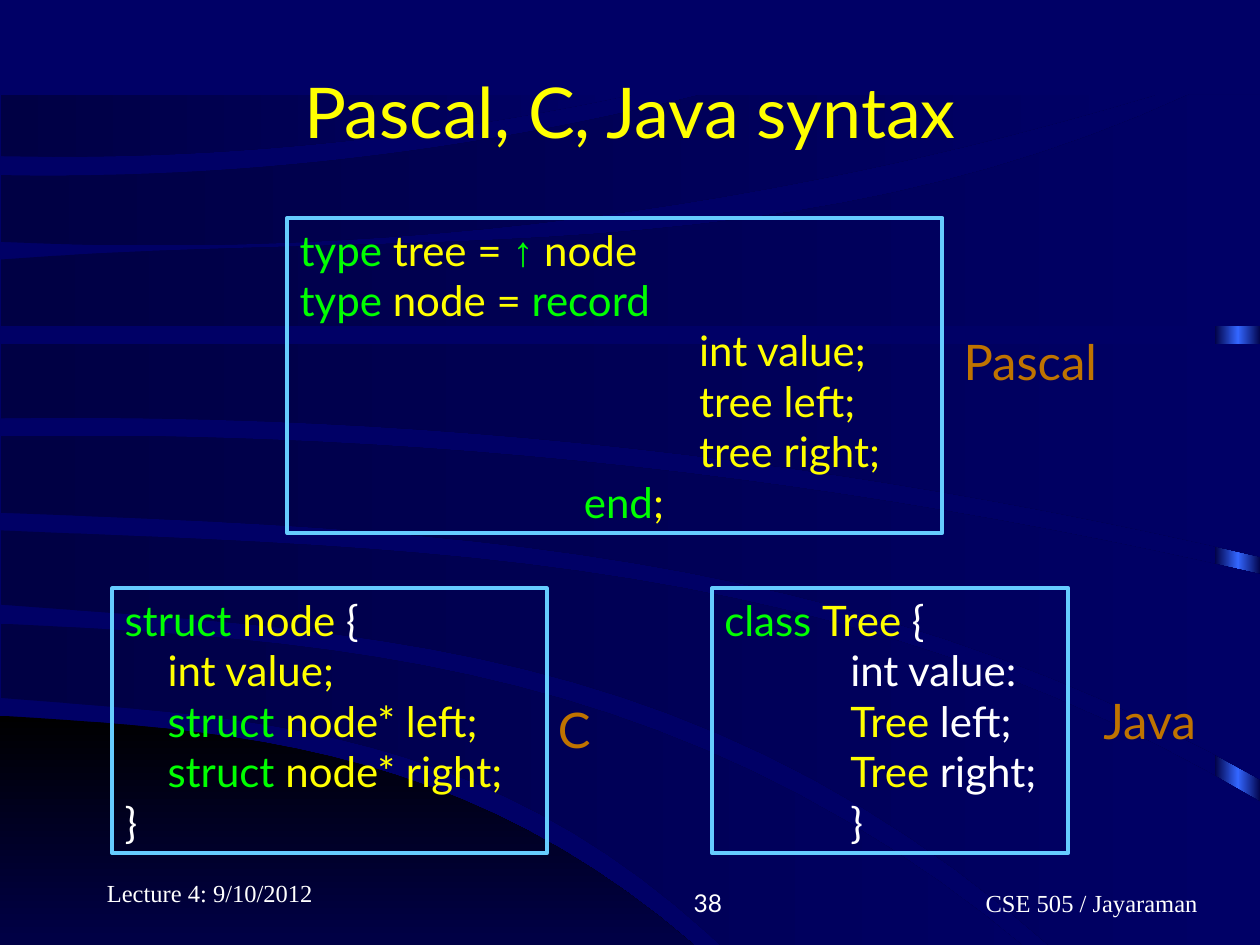
from copy import deepcopy
from dataclasses import dataclass
from math import prod
from typing import NamedTuple, Sequence

from lxml.etree import SubElement
from pptx import Presentation
from pptx.dml.color import RGBColor as RGB
from pptx.enum.shapes import MSO_SHAPE as SHAPE
from pptx.enum.text import MSO_ANCHOR as ANCHOR, PP_ALIGN as ALIGN
from pptx.oxml.ns import qn
from pptx.util import Inches, Pt


@dataclass(frozen=True)
class Theme:
    """Colours, fonts and type sizes of the slide."""
    back: str = "000066"
    deep: str = "000044"
    black: str = "000000"
    glow: str = "3366FF"
    frame: str = "66CCFF"
    keyword: str = "00FF00"
    name: str = "FFFF00"
    plain: str = "FFFFFF"
    label: str = "BF7300"
    sans: str = "Lato"
    serif: str = "Times New Roman"
    symbol: str = "Arial"
    title_size: int = 40
    label_size: int = 28
    code_size: int = 24
    footer_size: int = 14


T = Theme()
LEFT, RIGHT = 0.01, 10.01
Point = tuple[float, float]


class Box(NamedTuple):
    """Left, top, width and height in inches."""
    x: float
    y: float
    w: float
    h: float


class Seg(NamedTuple):
    """A stretch of text in one colour."""
    text: str
    color: str
    font: str | None = None


class Band(NamedTuple):
    """A background band between two smooth edges, with optional corners at its right end."""
    top: Sequence[Point]
    bottom: Sequence[Point]
    corners: Sequence[Point] = ()
    colors: Sequence[str] = (T.deep, T.back)
    angle: float = 0


class Text(NamedTuple):
    """A single line of text with its place and style."""
    text: str
    box: Box
    size: int
    color: str
    font: str = T.sans
    align: ALIGN = ALIGN.LEFT
    anchor: ANCHOR = ANCHOR.TOP
    wrap: bool = True
    indent: float = 0


class Code(NamedTuple):
    """A framed code listing."""
    box: Box
    lines: Sequence[Sequence[Seg]]


def kw(text: str) -> Seg:
    """Return a keyword segment."""
    return Seg(text, T.keyword)


def nm(text: str) -> Seg:
    """Return a name segment."""
    return Seg(text, T.name)


def pl(text: str) -> Seg:
    """Return a plain segment."""
    return Seg(text, T.plain)


BANDS = [
    Band([(0, 5.68), (2.19, 5.91), (4.26, 6.63), (6.29, 8.27)], [(0, 8.27), (6.29, 8.27)],
         colors=(T.black, T.back), angle=270),
    Band([(LEFT, 4.95), (2.95, 5.21), (6.07, 6.17), (8.94, 8.25)],
         [(LEFT, 5.54), (2.22, 5.77), (4.55, 6.61), (6.43, 8.25)]),
    Band([(LEFT, 4.21), (3.44, 4.4), (7.39, 5.17), (RIGHT, 6.37)],
         [(LEFT, 4.8), (3.12, 5.1), (6.37, 6.14), (9.1, 8.25)], [(RIGHT, 8.25)]),
    Band([(LEFT, 3.46), (5.24, 3.73), (RIGHT, 4.56)],
         [(LEFT, 4.07), (3.52, 4.27), (7.12, 4.95), (RIGHT, 6.19)]),
    Band([(LEFT, 2.73), (RIGHT, 2.73)], [(LEFT, 3.32), (5.03, 3.56), (RIGHT, 4.42)]),
    Band([(LEFT, 2.06), (4.21, 1.89), (7.35, 1.47), (9.44, 0.75)],
         [(LEFT, 2.59), (RIGHT, 2.59)], [(RIGHT, 0.75)]),
    Band([(LEFT, 1.39), (3.09, 1.22), (5.57, 0.75)], [(LEFT, 1.92), (5.05, 1.67), (9.18, 0.75)]),
    Band([(LEFT, 0.75), (5.02, 0.75)], [(LEFT, 1.24), (2.54, 1.14), (5.02, 0.75)]),
]

CODES = [
    Code(Box(2.28, 1.73, 5.2, 2.5), [
        [kw("type"), nm(" tree = "), Seg("↑", T.keyword, T.symbol), nm(" node")],
        [kw("type"), nm(" node = "), kw("record")],
        *([nm(f"\t\t\t  {field};")] for field in ("int value", "tree left", "tree right")),
        [nm("\t\t   "), kw("end"), nm(";")]]),
    Code(Box(0.89, 4.67, 3.45, 2.1), [
        [kw("struct "), nm("node"), pl(" {")],
        [nm("    int value;")],
        *([kw("    struct "), nm(f"node* {side};")] for side in ("left", "right")),
        [pl("}")]]),
    Code(Box(5.65, 4.67, 2.83, 2.1), [
        [kw("class "), nm("Tree"), pl(" {")],
        [pl("\tint value:")],
        *([nm("\tTree"), pl(f" {side};")] for side in ("left", "right")),
        [pl("\t}")]]),
]

TEXTS = [
    Text("Pascal, C, Java syntax", Box(0.75, 0.25, 8.5, 1.25), T.title_size, T.name,
         align=ALIGN.CENTER, anchor=ANCHOR.MIDDLE),
    *(Text(word, box, T.label_size, T.label, wrap=False) for word, box in (
        ("Pascal", Box(7.55, 2.58, 1.34, 0.57)),
        ("C", Box(4.33, 5.5, 0.44, 0.57)),
        ("Java", Box(8.66, 5.43, 0.94, 0.57)))),
    *(Text(word, box, T.footer_size, T.plain, font, align, ANCHOR.BOTTOM, indent=indent)
      for word, box, font, align, indent in (
        ("Lecture 4: 9/10/2012", Box(0.75, 6.75, 2.08, 0.5), T.serif, ALIGN.LEFT, 0),
        ("38", Box(3.75, 6.83, 2.08, 0.5), T.sans, ALIGN.RIGHT, 0),
        ("CSE 505 / Jayaraman", Box(6.58, 6.83, 3.17, 0.5), T.serif, ALIGN.CENTER, 1))),
]


def smooth(knots: Sequence[Point], steps: int = 24) -> list[Point]:
    """Sample the polynomial through the knots, from the first to the last."""
    if len(knots) == 2:
        return list(knots)
    x0, x1 = knots[0][0], knots[-1][0]
    xs = [x0 + (x1 - x0) * i / steps for i in range(steps + 1)]
    return [(x, sum(y * prod((x - b) / (a - b) for b, _ in knots if b != a) for a, y in knots))
            for x in xs]


def shade(sp, colors: Sequence[str], angle: float = 0) -> None:
    """Fill a shape with an even gradient and no outline."""
    sp.shadow.inherit = False
    sp.line.fill.background()
    sp.fill.gradient()
    sp.fill.gradient_angle = angle
    stops = next(sp._element.iter(qn("a:gsLst")))
    for _ in colors[2:]:
        stops.insert(1, deepcopy(stops[0]))
    for i, (stop, color) in enumerate(zip(sp.fill.gradient_stops, colors)):
        stop.position = i / (len(colors) - 1)
        stop.color.rgb = RGB.from_string(color)


def add_band(shapes, band: Band) -> None:
    """Draw a background band."""
    outline = [*smooth(band.top), *band.corners, *reversed(smooth(band.bottom))]
    start, *rest = [(Inches(x), Inches(y)) for x, y in outline]
    builder = shapes.build_freeform(*start)
    builder.add_line_segments(rest, close=True)
    shade(builder.convert_to_shape(), band.colors, band.angle)


def add_code(shapes, code: Code) -> None:
    """Draw a framed listing with tab stops at every inch."""
    sp = shapes.add_shape(SHAPE.RECTANGLE, *map(Inches, code.box))
    sp.shadow.inherit = False
    sp.fill.background()
    sp.line.color.rgb = RGB.from_string(T.frame)
    sp.line.width = Pt(2.25)
    tf = sp.text_frame
    tf.word_wrap = True
    tf.vertical_anchor = ANCHOR.TOP
    for i, line in enumerate(code.lines):
        p = tf.add_paragraph() if i else tf.paragraphs[0]
        p.alignment = ALIGN.LEFT
        tabs = SubElement(p._p.get_or_add_pPr(), qn("a:tabLst"))
        for inch in range(1, 4):
            SubElement(tabs, qn("a:tab"), pos=str(Inches(inch)), algn="l")
        p.font.name, p.font.size = T.sans, Pt(T.code_size)
        for seg in line:
            r = p.add_run()
            r.text = seg.text
            r.font.color.rgb = RGB.from_string(seg.color)
            if seg.font:
                r.font.name = seg.font


def add_text(shapes, text: Text) -> None:
    """Draw a single line of text."""
    tf = shapes.add_textbox(*map(Inches, text.box)).text_frame
    tf.word_wrap = text.wrap
    tf.vertical_anchor = text.anchor
    p = tf.paragraphs[0]
    p.text = text.text
    p.alignment = text.align
    if text.indent:
        p._p.get_or_add_pPr().set("marL", str(Inches(text.indent)))
    p.font.name, p.font.size = text.font, Pt(text.size)
    p.font.color.rgb = RGB.from_string(text.color)


def main() -> None:
    """Build the slide and save it."""
    prs = Presentation()
    prs.slide_width, prs.slide_height = Inches(10), Inches(7.5)
    s = prs.slides.add_slide(prs.slide_layouts[6])
    s.background.fill.solid()
    s.background.fill.fore_color.rgb = RGB.from_string(T.back)
    strip = s.shapes.add_shape(SHAPE.RECTANGLE, *map(Inches, Box(9.64, 0.77, 0.37, 7.5)))
    shade(strip, (T.deep, T.glow, T.deep))
    for draw, items in ((add_band, BANDS), (add_code, CODES), (add_text, TEXTS)):
        for item in items:
            draw(s.shapes, item)
    prs.save("out.pptx")


if __name__ == "__main__":
    main()
